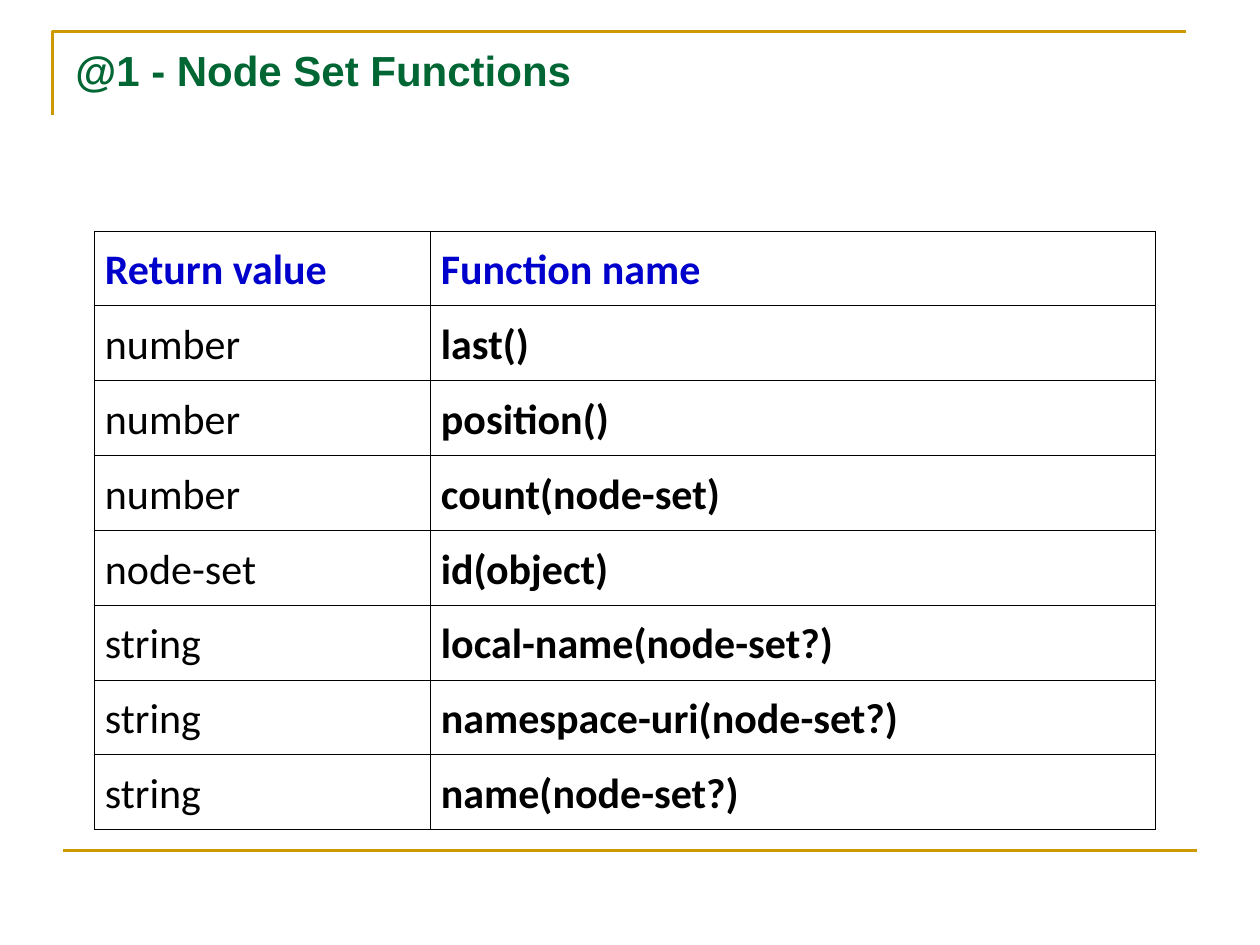
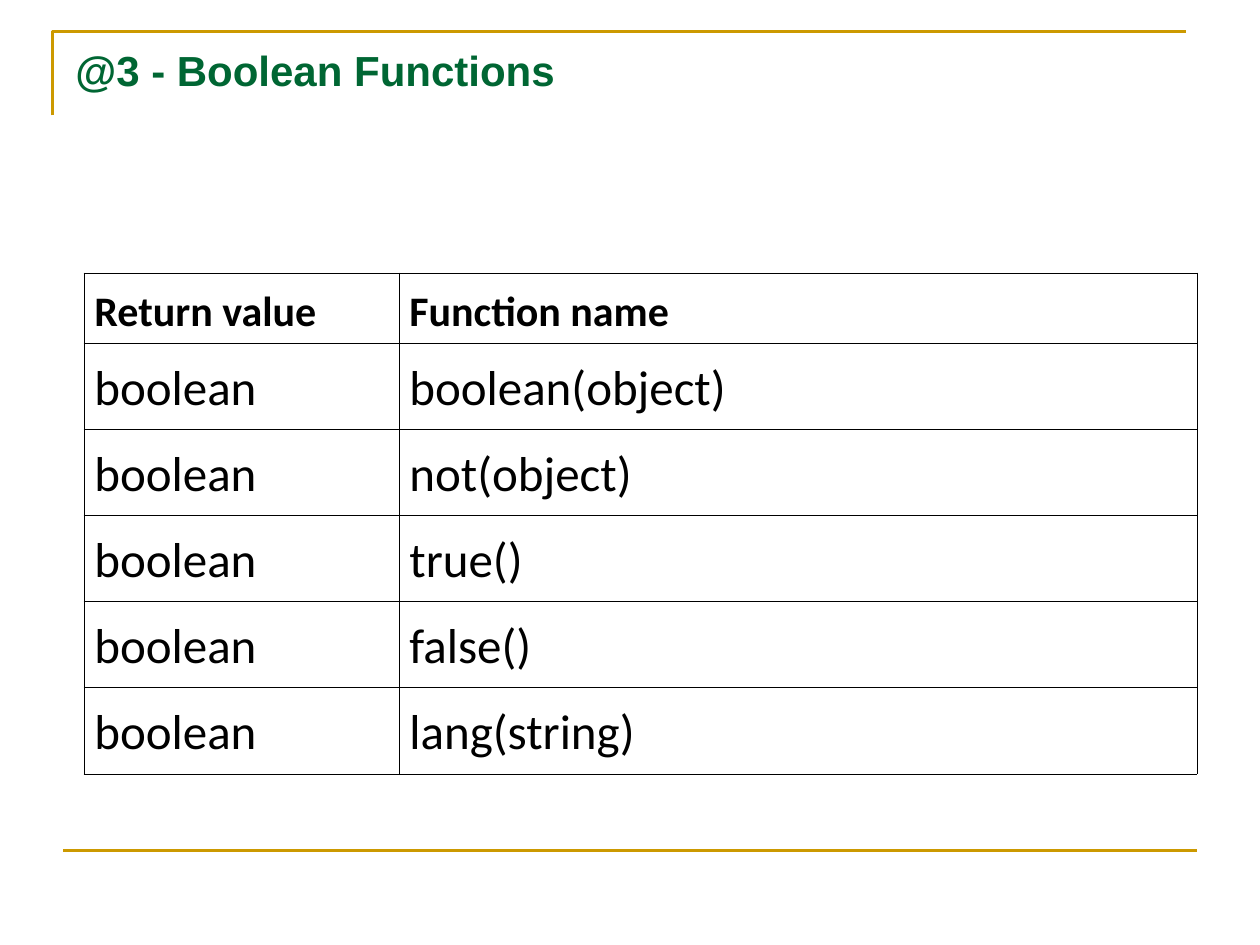
from pptx import Presentation
from pptx import util as u
from pptx.dml import color
from pptx.enum import shapes, text
from pptx.oxml import parse_xml
from pptx.oxml.ns import nsdecls
from lxml import etree

GOLD, GREEN, BLUE, BLACK = "CC9900", "006633", "0000CC", "000000"
RULE_WIDTH, BORDER_WIDTH = 1.5, 0.45
TITLE_FORMAT = {"name": "Arial", "size": u.Pt(24), "bold": True}
HEADER = ("Return value", "Function name")


def rgb(value):
    return color.RGBColor.from_string(value)


def write(paragraph, words, formats, ink):
    span = paragraph.add_run()
    span.text = words
    for name, value in formats.items():
        setattr(span.font, name, value)
    span.font.color.rgb = rgb(ink)


pages = [
    {
        "title": "@1 - Node Set Functions",
        "place": (54, 132), "columns": (192, 414), "heights": (42.75, 42.75),
        "header_ink": BLUE, "body_size": 24, "bold_names": True,
        "rows": [
            ("number", "last()"),
            ("number", "position()"),
            ("number", "count(node-set)"),
            ("node-set", "id(object)"),
            ("string", "local-name(node-set?)"),
            ("string", "namespace-uri(node-set?)"),
            ("string", "name(node-set?)"),
        ],
    },
    {
        "title": "@3 - Boolean Functions",
        "place": (48, 156), "columns": (180, 456), "heights": (36, 49.2),
        "header_ink": BLACK, "body_size": 28, "bold_names": False,
        "rows": [
            ("boolean", name)
            for name in ("boolean(object)", "not(object)", "true()",
                         "false()", "lang(string)")
        ],
    },
]

deck = Presentation()
deck.slide_width, deck.slide_height = u.Pt(720), u.Pt(540)

for content in pages:
    page = deck.slides.add_slide(deck.slide_layouts[6])

    # Gold corner at the top and gold rule at the bottom
    builder = page.shapes.build_freeform(u.Pt(30), u.Pt(66))
    builder.add_line_segments(
        [(u.Pt(30), u.Pt(18)), (u.Pt(678), u.Pt(18))], close=False)
    corner = builder.convert_to_shape()
    corner.fill.background()
    corner.shadow.inherit = False
    bottom_rule = page.shapes.add_connector(
        shapes.MSO_CONNECTOR.STRAIGHT,
        u.Pt(36), u.Pt(486), u.Pt(684), u.Pt(486))
    etree.SubElement(
        bottom_rule._element.spPr,
        "{http://schemas.openxmlformats.org/drawingml/2006/main}effectLst")
    for rule in (corner, bottom_rule):
        rule.line.color.rgb = rgb(GOLD)
        rule.line.width = u.Pt(RULE_WIDTH)

    # Title
    box = page.shapes.add_textbox(u.Pt(36), u.Pt(21.6), u.Pt(648), u.Pt(90))
    box.text_frame.word_wrap = True
    write(box.text_frame.paragraphs[0], content["title"], TITLE_FORMAT, GREEN)

    # Table of functions
    rows = [HEADER] + content["rows"]
    header_height, body_height = content["heights"]
    left, top = content["place"]
    table = page.shapes.add_table(
        len(rows), len(HEADER), u.Pt(left), u.Pt(top),
        u.Pt(sum(content["columns"])),
        u.Pt(header_height + body_height * len(content["rows"]))).table
    table.first_row = table.horz_banding = False
    for column, width in zip(table.columns, content["columns"]):
        column.width = u.Pt(width)

    for row_index, row in enumerate(rows):
        is_header = row_index == 0
        table.rows[row_index].height = u.Pt(
            header_height if is_header else body_height)
        for column_index, words in enumerate(row):
            cell = table.cell(row_index, column_index)
            cell_format = {
                "margin_left": u.Pt(6), "margin_right": u.Pt(6),
                "margin_top": u.Pt(3.6), "margin_bottom": u.Pt(3.6),
                "vertical_anchor": text.MSO_ANCHOR.TOP,
            }
            for name, value in cell_format.items():
                setattr(cell, name, value)

            # Thin black borders come before the fill
            for side in ("lnL", "lnR", "lnT", "lnB"):
                cell._tc.get_or_add_tcPr().append(parse_xml(
                    f'<a:{side} {nsdecls("a")} w="{u.Pt(BORDER_WIDTH)}">'
                    f'<a:solidFill><a:srgbClr val="{BLACK}"/></a:solidFill>'
                    f'</a:{side}>'))
            cell.fill.background()

            para = cell.text_frame.paragraphs[0]
            para.line_spacing = 1.15
            font_format = {
                "name": "Calibri",
                "size": u.Pt(24 if is_header else content["body_size"]),
                "bold": is_header or (column_index == 1
                                      and content["bold_names"]),
            }
            write(para, words, font_format,
                  content["header_ink"] if is_header else BLACK)

deck.save("out.pptx")
